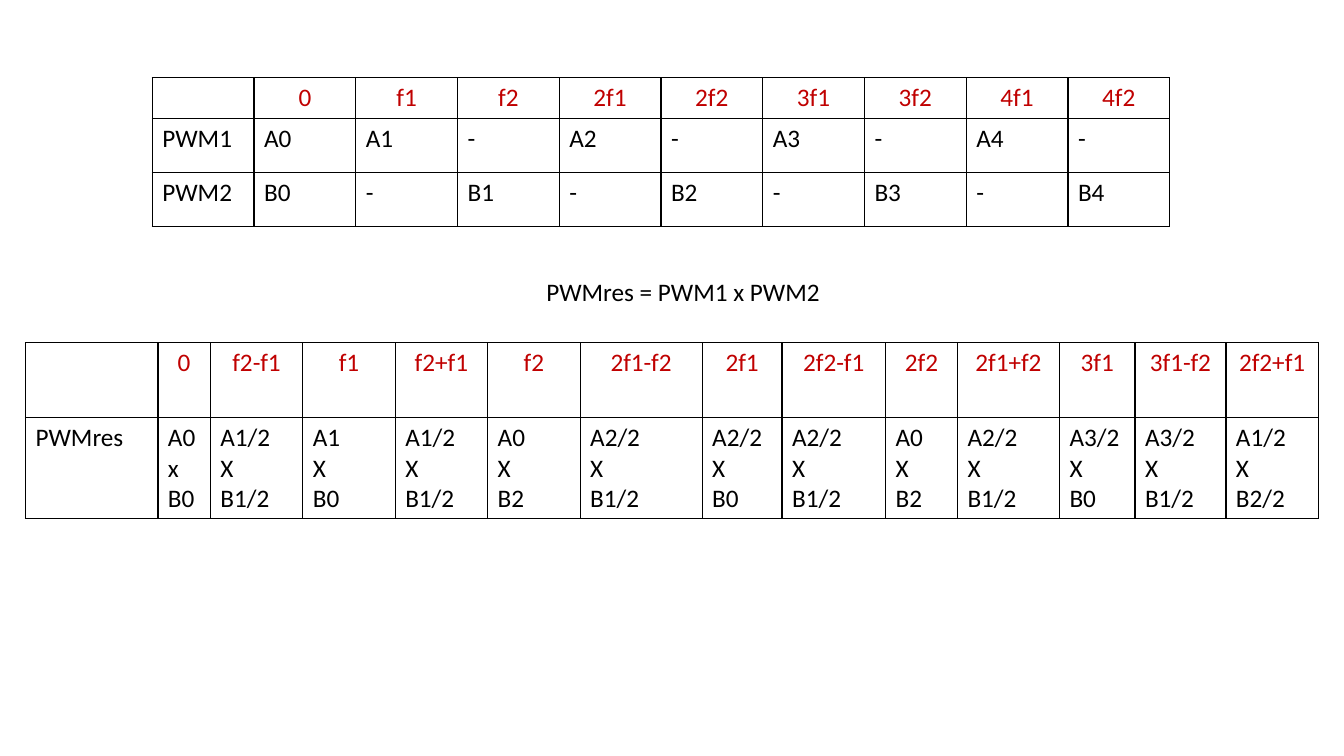
from dataclasses import dataclass

from lxml import etree
from pptx import Presentation
from pptx.dml.color import RGBColor
from pptx.enum.text import PP_ALIGN
from pptx.oxml.ns import qn
from pptx.util import Inches, Pt

LEFT, CENTER = PP_ALIGN.LEFT, PP_ALIGN.CENTER
SLIDE_W, SLIDE_H = Inches(13.33), Inches(7.5)


@dataclass(frozen=True)
class Theme:
    font: str = "Calibri"
    size: int = 18
    ink: str = "000000"
    accent: str = "C00000"
    border: int = 1


@dataclass(frozen=True)
class Grid:
    """Harmonics table; lengths are percentages of the slide's size."""
    left: float
    top: float
    widths: list[float]
    heights: list[float]
    rows: list[list[str]]


THEME = Theme()


def across(share: float) -> int:
    return round(SLIDE_W * share / 100)


def down(share: float) -> int:
    return round(SLIDE_H * share / 100)


def write(tf, text: str, color: str, align=LEFT) -> None:
    """Fill a text frame, one paragraph per line."""
    tf.text = text
    fmt = {"name": THEME.font, "size": Pt(THEME.size), "bold": False}
    for p in tf.paragraphs:
        p.alignment = align
        for r in p.runs:
            for key, value in fmt.items():
                setattr(r.font, key, value)
            r.font.color.rgb = RGBColor.from_string(color)


def outline(cell) -> None:
    """Draw all four cell borders and clear the fill."""
    tc_pr = cell._tc.get_or_add_tcPr()
    for side in ("a:lnL", "a:lnR", "a:lnT", "a:lnB"):
        ln = etree.SubElement(tc_pr, qn(side), w=str(Pt(THEME.border)))
        fill = etree.SubElement(ln, qn("a:solidFill"))
        etree.SubElement(fill, qn("a:srgbClr"), val=THEME.ink)
    cell.fill.background()


def add_grid(s, grid: Grid) -> None:
    table = s.shapes.add_table(
        len(grid.heights), len(grid.widths), across(grid.left), down(grid.top),
        across(sum(grid.widths)), down(sum(grid.heights))).table
    table.first_row = table.horz_banding = False
    for col, width in zip(table.columns, grid.widths):
        col.width = across(width)
    for row, height in zip(table.rows, grid.heights):
        row.height = down(height)
    for i, texts in enumerate(grid.rows):
        color, align = (THEME.ink, LEFT) if i else (THEME.accent, CENTER)
        for j, text in enumerate(texts):
            cell = table.cell(i, j)
            outline(cell)
            if text:
                write(cell.text_frame, text, color, align)


def product(a: str, b: str) -> str:
    return f"{a}\nX\n{b}"


# Harmonics of the two input signals
INPUTS = Grid(
    11.33, 10.27, [7.57] * 10, [5.45, 7.1, 7.1],
    [["", "0", "f1", "f2", "2f1", "2f2", "3f1", "3f2", "4f1", "4f2"],
     ["PWM1", "A0", "A1", "-", "A2", "-", "A3", "-", "A4", "-"],
     ["PWM2", "B0", "-", "B1", "-", "B2", "-", "B3", "-", "B4"]])

# Harmonics of their product
FACTORS = [("A1/2", "B1/2"), ("A1", "B0"), ("A1/2", "B1/2"), ("A0", "B2"),
           ("A2/2", "B1/2"), ("A2/2", "B0"), ("A2/2", "B1/2"), ("A0", "B2"),
           ("A2/2", "B1/2"), ("A3/2", "B0"), ("A3/2", "B1/2"), ("A1/2", "B2/2")]
RESULT = Grid(
    1.9, 45.33,
    [9.85, 3.9, 6.88, 6.88, 6.88, 6.88, 9.08, 5.95, 7.7, 5.35, 7.59, 5.62, 6.77, 6.88],
    [9.87, 13.35],
    [["", "0", "f2-f1", "f1", "f2+f1", "f2", "2f1-f2", "2f1", "2f2-f1", "2f2",
      "2f1+f2", "3f1", "3f1-f2", "2f2+f1"],
     ["PWMres", "A0x\nB0", *(product(a, b) for a, b in FACTORS)]])


def main() -> None:
    prs = Presentation()
    prs.slide_width, prs.slide_height = SLIDE_W, SLIDE_H
    s = prs.slides.add_slide(prs.slide_layouts[6])

    add_grid(s, INPUTS)

    # Formula between the tables
    tb = s.shapes.add_textbox(across(39.91), down(35.87), across(22.06), down(9.47))
    tb.text_frame.word_wrap = False
    write(tb.text_frame, "PWMres = PWM1 x PWM2", THEME.ink)

    add_grid(s, RESULT)
    prs.save("out.pptx")


if __name__ == "__main__":
    main()
